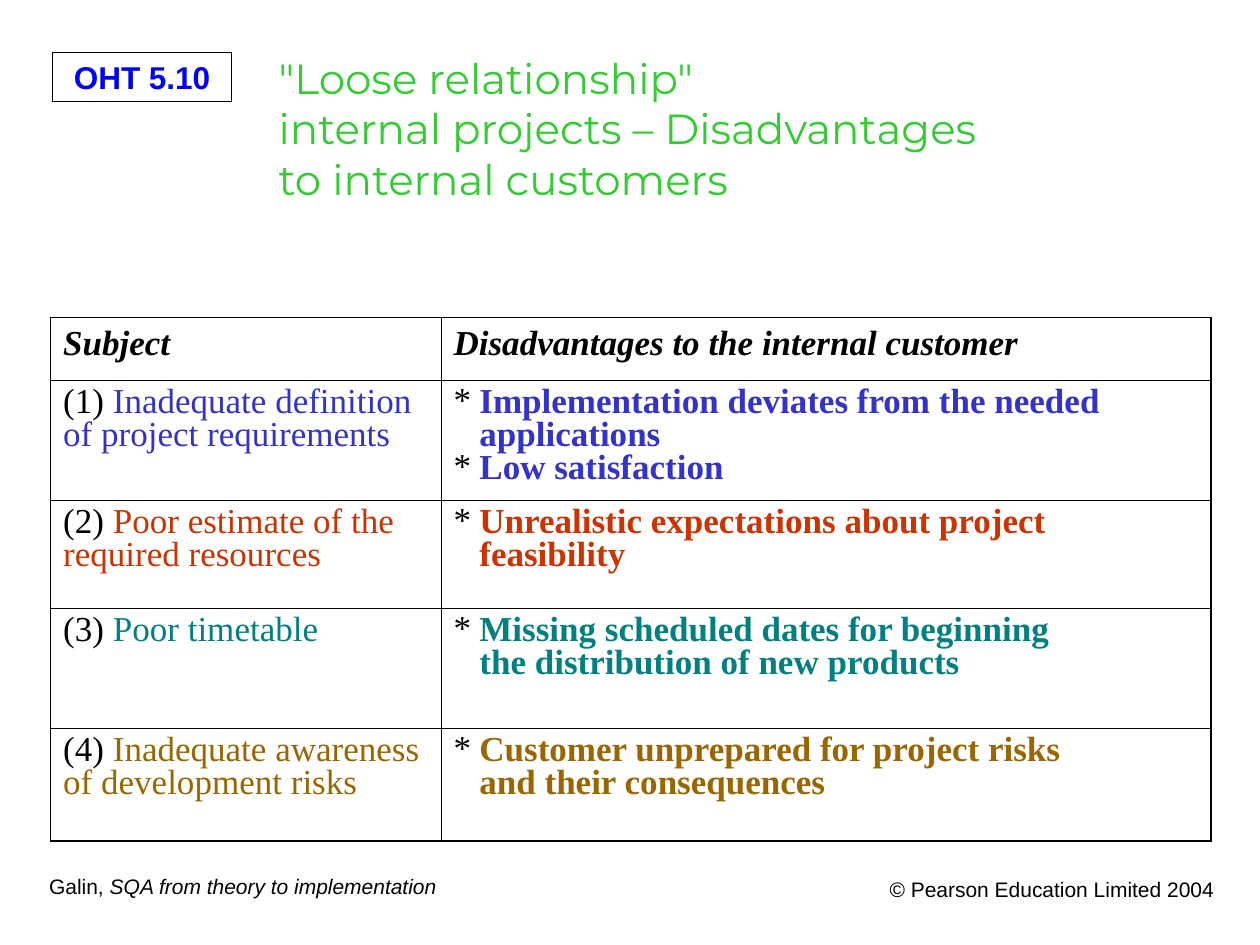
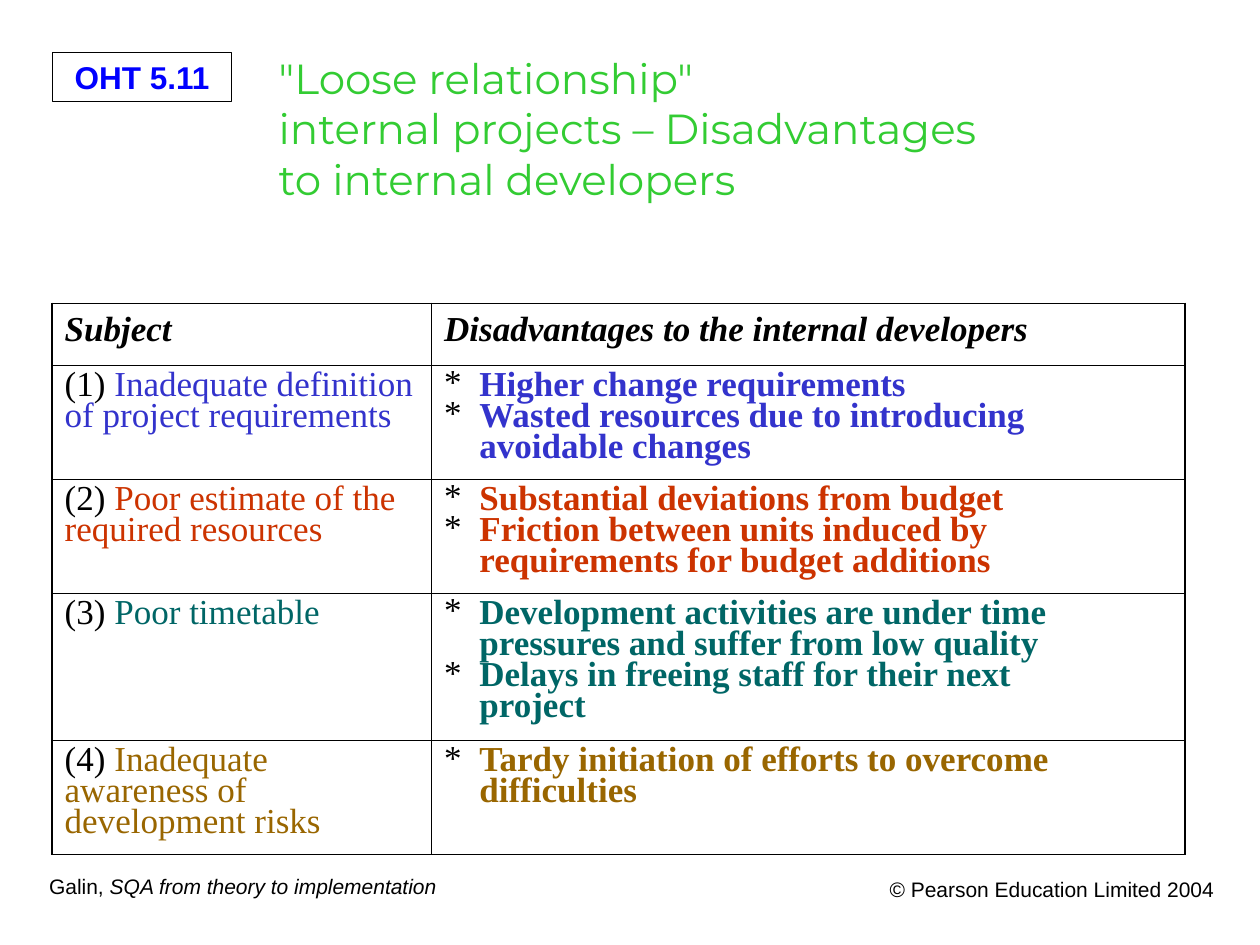
from lxml.etree import SubElement
from pptx import Presentation
from pptx.dml.color import RGBColor
from pptx.enum.shapes import MSO_SHAPE
from pptx.enum.text import MSO_ANCHOR, PP_ALIGN
from pptx.oxml.ns import qn
from pptx.util import Cm, Pt

COLOURS = {
    "ink": "000000", "badge": "0000FF", "title": "33CC33",
    "requirements": "3333CC", "resources": "CC3300",
    "timetable": "008080", "timetable dark": "006666", "risks": "996600",
}
OUTER, INNER = Pt(1.08), Pt(0.45)
TABLE_FONT = {"font": "Times New Roman", "size": 20}


def write(frame, paragraphs, font="Arial", size=12, colour="ink", bold=False,
          italic=False, align=PP_ALIGN.LEFT, spacing=None, hang=None, wrap=True):
    """Each paragraph is a list of (text, changed format) pairs."""
    frame.word_wrap = wrap
    for number, pieces in enumerate(paragraphs):
        paragraph = frame.add_paragraph() if number else frame.paragraphs[0]
        paragraph.alignment = align
        if spacing:
            paragraph.line_spacing = spacing
        if hang:
            properties = paragraph._p.get_or_add_pPr()
            properties.set("marL", str(hang))
            properties.set("indent", str(-hang))
            bullet_colour = SubElement(properties, qn("a:buClr"))
            SubElement(bullet_colour, qn("a:srgbClr"), val=COLOURS["ink"])
            SubElement(properties, qn("a:buFont"), typeface=font)
            SubElement(properties, qn("a:buChar"), char="*")
        for text, changes in pieces:
            look = {"colour": colour, "bold": bold, "italic": italic} | changes
            for part, line in enumerate(text.split("\n")):
                if part:
                    paragraph.add_line_break()
                run = paragraph.add_run()
                run.text = line
                run.font.name, run.font.size = font, Pt(size)
                run.font.bold, run.font.italic = look["bold"], look["italic"]
                run.font.color.rgb = RGBColor.from_string(COLOURS[look["colour"]])


def draw_border(cell, side, width):
    line = SubElement(cell._tc.get_or_add_tcPr(), qn(f"a:{side}"), w=str(width))
    SubElement(SubElement(line, qn("a:solidFill")), qn("a:srgbClr"), val=COLOURS["ink"])


subjects = [
    "Inadequate definition of project requirements",
    "Poor estimate of the required resources",
    "Poor timetable",
    "Inadequate awareness of development risks",
]

pages = [
    {
        "badge": "OHT 5.10", "audience": "customers", "heading": "customer",
        "left": 1.02, "top": 6.4, "columns": [7.87, 15.52],
        "rows": [1.27, 2.42, 2.18, 2.42, 2.26], "spacing": 0.85, "hang": 0.52,
        "colours": ["requirements", "resources", "timetable", "risks"],
        "disadvantages": [
            ["Implementation deviates from the needed\napplications", "Low satisfaction"],
            ["Unrealistic expectations about project\nfeasibility"],
            ["Missing scheduled dates for beginning\nthe distribution of new products"],
            ["Customer unprepared for project risks\nand their consequences"],
        ],
    },
    {
        "badge": "OHT 5.11", "audience": "developers", "heading": "developers",
        "left": 1.05, "top": 6.12, "columns": [7.65, 15.19],
        "rows": [1.24, 2.3, 2.3, 2.96, 2.3], "spacing": 0.8, "hang": 0.71,
        "colours": ["requirements", "resources", "timetable dark", "risks"],
        "disadvantages": [
            ["Higher change requirements",
             "Wasted resources due to introducing\navoidable changes"],
            ["Substantial deviations from budget",
             "Friction between units induced by\nrequirements for budget additions"],
            ["Development activities are under time\npressures and suffer from low quality",
             "Delays in freeing staff for their next\nproject"],
            ["Tardy initiation of efforts to overcome\ndifficulties"],
        ],
    },
]

deck = Presentation()
deck.slide_width, deck.slide_height = Cm(25.4), Cm(19.05)

for page in pages:
    slide = deck.slides.add_slide(deck.slide_layouts[6])
    shapes = slide.shapes

    # Number badge
    badge = shapes.add_shape(MSO_SHAPE.RECTANGLE, Cm(1.06), Cm(1.06), Cm(3.61), Cm(0.99))
    badge.shadow.inherit = False
    badge.fill.background()
    badge.line.color.rgb = RGBColor.from_string(COLOURS["ink"])
    badge.line.width = Pt(0.75)
    badge.text_frame.vertical_anchor = MSO_ANCHOR.MIDDLE
    write(badge.text_frame, [[(page["badge"], {})]], size=18, colour="badge",
          bold=True, align=PP_ALIGN.CENTER, wrap=False)

    # Footers
    book = shapes.add_textbox(Cm(0.74), Cm(17.48), Cm(8.33), Cm(0.76))
    write(book.text_frame, [[("Galin, ", {}),
                             ("SQA from theory to implementation", {"italic": True})]],
          wrap=False)
    rights = shapes.add_textbox(Cm(16.86), Cm(17.54), Cm(7.87), Cm(0.99))
    write(rights.text_frame, [[("© Pearson Education Limited 2004", {})]],
          align=PP_ALIGN.RIGHT)

    # Subject and disadvantage table
    table = shapes.add_table(5, 2, Cm(page["left"]), Cm(page["top"]),
                             Cm(sum(page["columns"])), Cm(sum(page["rows"]))).table
    table.first_row = table.horz_banding = False
    for column, width in zip(table.columns, page["columns"]):
        column.width = Cm(width)
    for row, height in zip(table.rows, page["rows"]):
        row.height = Cm(height)

    for r in range(5):
        for c in range(2):
            cell = table.cell(r, c)
            draw_border(cell, "lnL", OUTER if c == 0 else INNER)
            draw_border(cell, "lnR", OUTER if c == 1 else INNER)
            draw_border(cell, "lnT", OUTER if r == 0 else INNER)
            draw_border(cell, "lnB", OUTER if r == 4 else INNER)
            cell.fill.background()

    headings = ["Subject", f"Disadvantages to the internal {page['heading']}"]
    for c, heading in enumerate(headings):
        write(table.cell(0, c).text_frame, [[(heading, {})]], bold=True, italic=True,
              **TABLE_FONT)

    topics = zip(subjects, page["colours"], page["disadvantages"])
    for r, (subject, colour, disadvantages) in enumerate(topics, start=1):
        write(table.cell(r, 0).text_frame,
              [[(f"({r}) ", {}), (subject, {"colour": colour})]],
              spacing=page["spacing"], **TABLE_FONT)
        write(table.cell(r, 1).text_frame, [[(item, {})] for item in disadvantages],
              colour=colour, bold=True, spacing=page["spacing"],
              hang=Cm(page["hang"]), **TABLE_FONT)

    # Title, to the right of the badge
    title = shapes.add_textbox(Cm(5.37), Cm(0.93), Cm(18.83), Cm(4.8))
    title_lines = ['"Loose relationship"', "internal projects – Disadvantages",
                   f"to internal {page['audience']}"]
    write(title.text_frame, [[(line, {})] for line in title_lines],
          font="Montserrat", size=24, colour="title")

deck.save("out.pptx")
